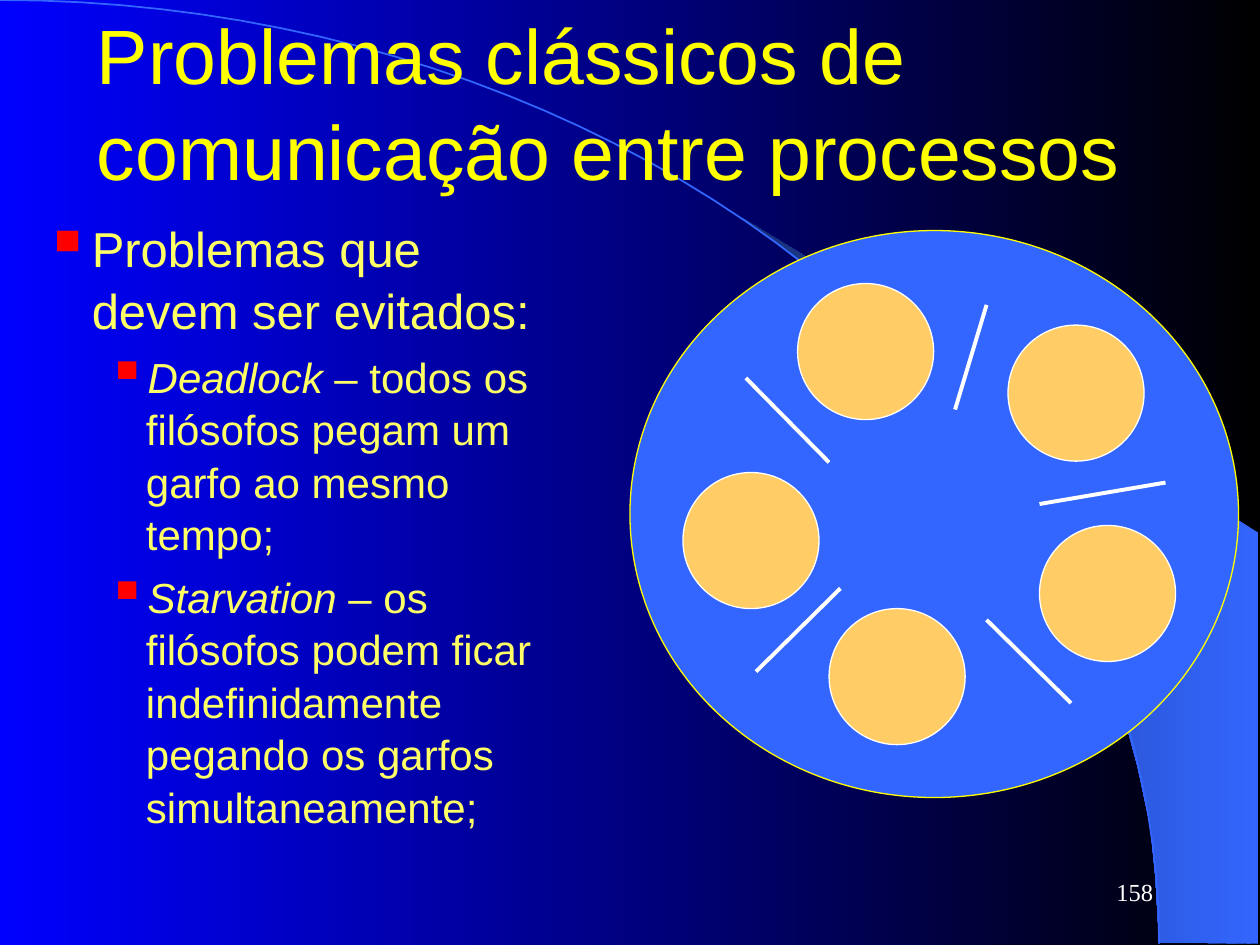
"""Build the dining philosophers slide on deadlock and starvation."""
import math

import lxml.etree
import pptx
import pptx.dml.color
import pptx.enum.shapes
import pptx.enum.text
import pptx.oxml.ns
import pptx.util

Inches = pptx.util.Inches
Pt = pptx.util.Pt
RGB = pptx.dml.color.RGBColor
qn = pptx.oxml.ns.qn
ALIGN = pptx.enum.text.PP_ALIGN
ANCHOR = pptx.enum.text.MSO_ANCHOR
OVAL = pptx.enum.shapes.MSO_SHAPE.OVAL
LINE = pptx.enum.shapes.MSO_CONNECTOR.STRAIGHT

BLACK = RGB(0x00, 0x00, 0x00)
NIGHT = RGB(0x17, 0x2F, 0x75)
DEEP = RGB(0x00, 0x00, 0xFF)
BLUE = RGB(0x33, 0x66, 0xFF)
YELLOW = RGB(0xFF, 0xFF, 0x00)
CREAM = RGB(0xFF, 0xFF, 0x66)
PEACH = RGB(0xFF, 0xCC, 0x66)
WHITE = RGB(0xFF, 0xFF, 0xFF)
RED = RGB(0xFF, 0x00, 0x00)


def shade(fill, first, last):
    fill.gradient()
    fill.gradient_angle = 180
    for stop, color, place in zip(fill.gradient_stops, (first, last), (0, 1)):
        stop.color.rgb = color
        stop.position = place


def add_text(box, anchor, paras):
    frame = slide.shapes.add_textbox(*map(Inches, box)).text_frame
    frame.word_wrap = True
    frame.vertical_anchor = anchor
    for i, (runs, font, form, mark) in enumerate(paras):
        para = frame.add_paragraph() if i else frame.paragraphs[0]
        for key, value in form.items():
            setattr(para, key, value)
        if mark:
            props = para._p.get_or_add_pPr()
            left, hang = mark
            props.set("marL", str(Inches(left)))
            props.set("indent", str(Inches(hang)))
            tint = lxml.etree.SubElement(props, qn("a:buClr"))
            lxml.etree.SubElement(tint, qn("a:srgbClr")).set("val", str(RED))
            lxml.etree.SubElement(props, qn("a:buSzPct")).set("val", "130000")
            lxml.etree.SubElement(props, qn("a:buChar")).set("char", "▪")
        color, style = font
        for text, slant in runs:
            run = para.add_run()
            run.text = text
            run.font.color.rgb = color
            for key, value in {**style, "italic": slant}.items():
                setattr(run.font, key, value)


deck = pptx.Presentation()
deck.slide_width, deck.slide_height = Inches(10), Inches(7.5)
slide = deck.slides.add_slide(deck.slide_layouts[6])
shade(slide.background.fill, BLACK, DEEP)

edge = [(9.2, 7.48), (9.99, 7.49), (9.99, 4.23), (5.89, 1.73), (6.24, 1.99),
        (6.53, 2.22), (6.85, 2.5), (7.16, 2.8), (7.62, 3.3), (8.03, 3.84),
        (8.32, 4.31), (8.58, 4.79), (8.78, 5.28), (8.93, 5.72), (9.03, 6.09),
        (9.13, 6.56), (9.17, 6.96)]
turns = [math.radians(d) for d in range(0, 91, 2)]
curve = [(9.2 * math.sin(t), 7.49 * (1 - math.cos(t))) for t in turns]
for dots, close in ((edge, True), (curve, False)):
    start, *rest = [tuple(map(Inches, dot)) for dot in dots]
    path = slide.shapes.build_freeform(*start)
    path.add_line_segments(rest, close=close)
    shape = path.convert_to_shape()
    shape.shadow.inherit = False
    if close:
        shade(shape.fill, BLUE, NIGHT)
        shape.line.fill.background()
    else:
        shape.fill.background()
        shape.line.color.rgb = BLUE
        shape.line.width = Pt(1)

title = (YELLOW, {"name": "Arial", "size": Pt(44)})
major = (CREAM, {"name": "Arial", "size": Pt(28)})
minor = (CREAM, {"name": "Arial", "size": Pt(24)})
small = (WHITE, {"name": "Times New Roman", "size": Pt(14)})
lead = {"line_spacing": 1.04}
sub = {"level": 1, "space_before": Pt(6), **lead}

add_text((0.67, 0.17, 9, 1.25), ANCHOR.MIDDLE, [
    ([("Problemas clássicos de comunicação entre processos", False)],
     title, lead, None)])
add_text((0.25, 1.67, 4.42, 5), ANCHOR.TOP, [
    ([("Problemas que devem ser evitados:", False)],
     major, lead, (0.38, -0.38)),
    ([("Deadlock", True),
      (" – todos os filósofos pegam um garfo ao mesmo tempo;", False)],
     minor, sub, (0.81, -0.31)),
    ([("Starvation", True),
      (" – os filósofos podem ficar indefinidamente pegando os garfos "
       "simultaneamente;", False)],
     minor, sub, (0.81, -0.31))])

table = (5, 1.83, 4.83, 4.5, BLUE, YELLOW)
spots = [(5.42, 3.75), (6.58, 4.83), (8.25, 4.17), (8, 2.58), (6.33, 2.25)]
plates = [(x, y, 1.08, 1.08, PEACH, WHITE) for x, y in spots]
for *box, fill, rim in [table] + plates:
    disc = slide.shapes.add_shape(OVAL, *map(Inches, box))
    disc.shadow.inherit = False
    disc.fill.solid()
    disc.fill.fore_color.rgb = fill
    disc.line.color.rgb = rim
    disc.line.width = Pt(0.75)

forks = [(5.92, 3, 6.58, 3.67), (7.83, 4.92, 8.5, 5.58), (6, 5.33, 6.67, 4.67),
         (7.58, 3.25, 7.83, 2.42), (8.25, 4, 9.25, 3.83)]
for ends in forks:
    fork = slide.shapes.add_connector(LINE, *map(Inches, ends))
    fork.line.color.rgb = WHITE
    fork.line.width = Pt(2.25)
    lxml.etree.SubElement(fork._element.spPr, qn("a:effectLst"))

add_text((7.17, 6.83, 2.08, 0.5), ANCHOR.MIDDLE, [
    ([("158", False)], small, {"alignment": ALIGN.RIGHT}, None)])

deck.save("out.pptx")
